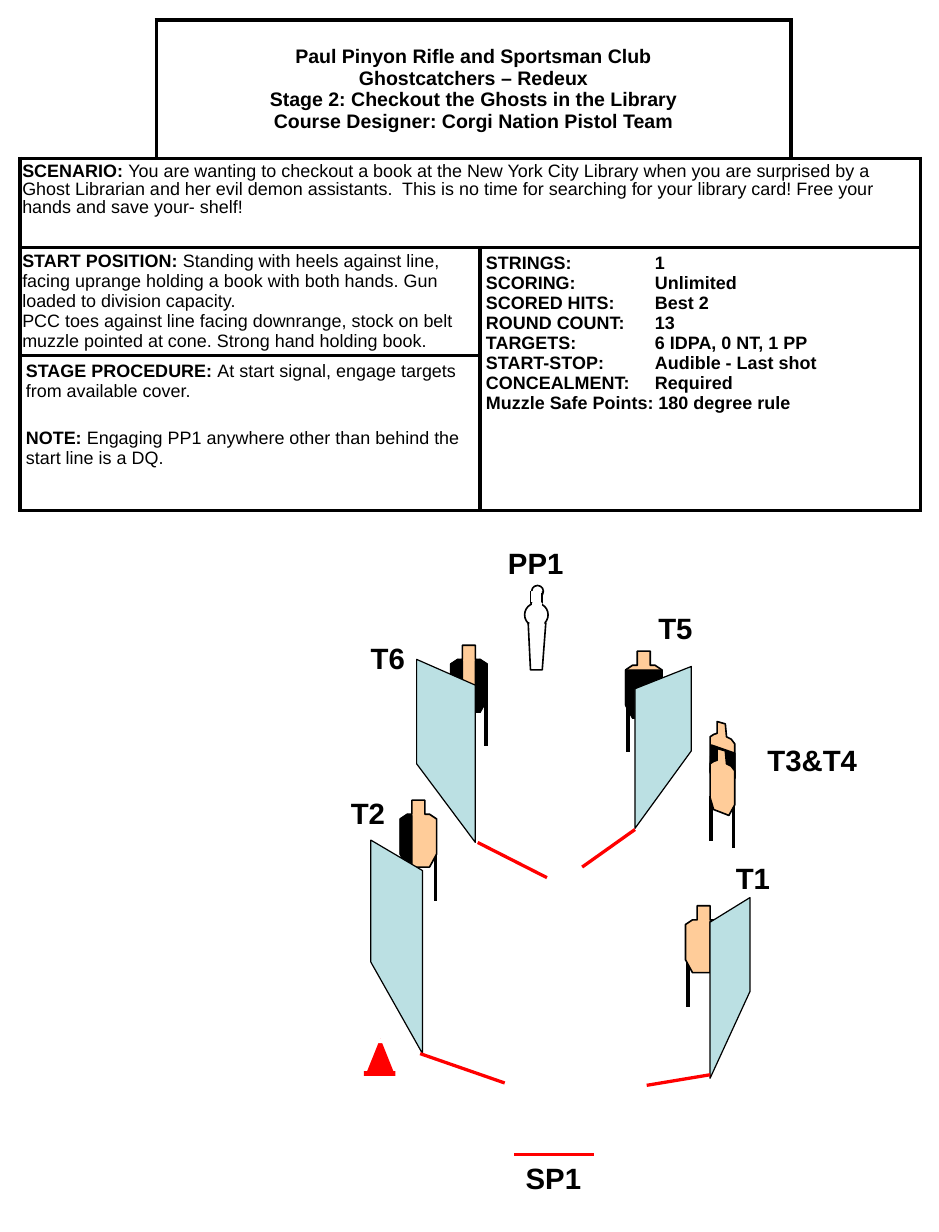
from lxml import etree
from pptx import Presentation
from pptx import util as u
from pptx.dml.color import RGBColor
from pptx.enum import shapes, text
from pptx.oxml import ns

COLORS = {"black": "000000", "white": "FFFFFF", "tan": "FFCC99",
          "wall": "BBE0E3", "red": "FF0000"}
BORDER_WIDTH = 2.25

TARGET = [(0.10, 0), (0.21, 0), (0.21, 0.12), (0.25, 0.12), (0.31, 0.16), (0.31, 0.46),
          (0.25, 0.57), (0.06, 0.57), (0, 0.46), (0, 0.16), (0.06, 0.12), (0.10, 0.12)]
RIGHT_HALF = [(0.21, 0.13), (0.21, 0.57), (0.25, 0.57), (0.31, 0.46), (0.31, 0.16), (0.25, 0.12)]
HARD_COVER = {
    "right": RIGHT_HALF,
    "left": [(0.31 - x, y) for x, y in RIGHT_HALF],
    "lower": [(0, 0.16), (0.31, 0.16), (0.31, 0.46), (0.25, 0.57), (0.06, 0.57), (0, 0.46)],
}
TURNED_TARGET = [(0.13, 0.02), (0.06, 0), (0.06, 0.10), (0.03, 0.11), (0, 0.13), (0, 0.42),
                 (0.03, 0.52), (0.16, 0.57), (0.21, 0.48), (0.21, 0.19), (0.18, 0.15), (0.14, 0.13)]
TURNED_COVER = [(0.21, 0.27), (0.21, 0.48), (0.16, 0.56), (0.03, 0.52), (0, 0.43), (0.01, 0.20)]

TARGETS = [(3.84, 5.50, ["right", "left"]), (5.33, 5.55, ["lower"]),
           (5.84, 7.72, ["right"]), (3.41, 6.82, ["left"])]
# outer edge, inner edge, then the four heights: outer top, outer bottom, inner top, inner bottom
WALLS = [(5.89, 5.41, 5.68, 6.40, 5.87, 7.06), (3.55, 4.05, 5.62, 6.51, 5.84, 7.18),
         (3.16, 3.60, 7.16, 8.20, 7.42, 8.98), (6.39, 6.05, 7.65, 8.45, 7.86, 9.19)]
FAULT_LINES = [(5.06, 9.84, 4.38, 9.84), (5.41, 7.07, 4.96, 7.39), (4.66, 7.48, 4.07, 7.18),
               (4.30, 9.23, 3.58, 8.98), (6.05, 9.16, 5.51, 9.25)]
LABELS = [("SP1", 4.38, 9.84, 0.68), ("PP1", 4.23, 4.60, 0.73), ("T5", 5.51, 5.15, 0.58),
          ("T1", 6.17, 7.28, 0.58), ("T3&T4", 6.44, 6.28, 1.02), ("T6", 3.06, 5.41, 0.58),
          ("T2", 2.89, 6.73, 0.58)]

TITLE = ["Paul Pinyon Rifle and Sportsman Club", "Ghostcatchers – Redeux",
         "Stage 2: Checkout the Ghosts in the Library",
         "Course Designer: Corgi Nation Pistol Team"]
SCENARIO = [("SCENARIO: ", "You are wanting to checkout a book at the New York City Library when "
             "you are surprised by a Ghost Librarian and her evil demon assistants.  This is no "
             "time for searching for your library card! Free your hands and save your- shelf!")]
START = [("START POSITION: ", "Standing with heels against line, facing uprange holding a book "
          "with both hands. Gun loaded to division capacity."),
         ("", "PCC toes against line facing downrange, stock on belt muzzle pointed at cone. "
          "Strong hand holding book.")]
PROCEDURE = [("STAGE PROCEDURE: ", "At start signal, engage targets from available cover."),
             ("NOTE: ", "Engaging PP1 anywhere other than behind the start line is a DQ.")]
FACTS = ["STRINGS:\t1", "SCORING:\tUnlimited", "SCORED HITS:\tBest 2", "ROUND COUNT:\t13",
         "TARGETS:\t6 IDPA, 0 NT, 1 PP", "START-STOP:\tAudible - Last shot",
         "CONCEALMENT:\tRequired", "Muzzle Safe Points: 180 degree rule"]


def rgb(name):
    return RGBColor.from_string(COLORS[name])


def write(frame, paras, size=11, align=text.PP_ALIGN.LEFT, gap=0, leading=None, tab=None):
    """Each item is a bold string or a (bold, plain) pair; gap is the points between paragraphs."""
    frame.word_wrap = True
    for index, item in enumerate(paras):
        para = frame.add_paragraph() if index else frame.paragraphs[0]
        if tab:
            stops = etree.SubElement(para._p.get_or_add_pPr(), ns.qn("a:tabLst"))
            etree.SubElement(stops, ns.qn("a:tab"), pos=str(u.Inches(tab)), algn="l")
        para.alignment = align
        para.space_before = u.Pt(gap if index else 0)
        if leading:
            para.line_spacing = leading
        bold, plain = (item, "") if isinstance(item, str) else item
        for words, is_bold in ((bold, True), (plain, False)):
            if words:
                span = para.add_run()
                span.text = words
                span.font.name, span.font.size, span.font.bold = "Arial", u.Pt(size), is_bold
                span.font.color.rgb = rgb("black")


def add_border(cell, sides):
    props = cell._tc.get_or_add_tcPr()
    for index, side in enumerate(side for side in "LRTB" if side in sides):
        line = etree.Element(ns.qn("a:ln" + side), w=str(u.Pt(BORDER_WIDTH)))
        fill = etree.SubElement(line, ns.qn("a:solidFill"))
        etree.SubElement(fill, ns.qn("a:srgbClr"), val=COLORS["black"])
        props.insert(index, line)


def fill_block(table, first, last, inset=(0.05, 0.05), sides="LRTB"):
    """Merge the cells from first to last, frame them and return the text frame."""
    origin = table.cell(*first)
    if first != last:
        origin.merge(table.cell(*last))
    for row in range(first[0], last[0] + 1):
        for col in range(first[1], last[1] + 1):
            cell = table.cell(row, col)
            cell.fill.solid()
            cell.fill.fore_color.rgb = rgb("white")
            edges = {"L": col == first[1], "R": col == last[1],
                     "T": row == first[0], "B": row == last[0]}
            add_border(cell, [s for s in sides if edges[s] or (row, col) == first])
    origin.margin_left = origin.margin_right = u.Inches(inset[0])
    origin.margin_top = origin.margin_bottom = u.Inches(inset[1])
    return origin.text_frame


def add_briefing(page):
    widths, heights = [1.16, 2.76, 2.65, 1.10], [1.18, 0.76, 0.92, 1.32]
    table = page.shapes.add_table(4, 4, u.Inches(0.17), u.Inches(0.17),
                                  u.Inches(sum(widths)), u.Inches(sum(heights))).table
    table.first_row = table.horz_banding = False
    for column, width in zip(table.columns, widths):
        column.width = u.Inches(width)
    for row, height in zip(table.rows, heights):
        row.height = u.Inches(height)
    fill_block(table, (0, 0), (0, 0), sides="RB")
    fill_block(table, (0, 3), (0, 3), sides="LB")
    write(fill_block(table, (0, 1), (0, 2)), TITLE, size=12, align=text.PP_ALIGN.CENTER)
    table.cell(0, 1).vertical_anchor = text.MSO_ANCHOR.MIDDLE
    write(fill_block(table, (1, 0), (1, 3), (0.02, 0.04)), SCENARIO, leading=0.9)
    write(fill_block(table, (2, 0), (2, 1), (0.02, 0.03)), START, gap=0.5)
    write(fill_block(table, (2, 2), (3, 3)), FACTS, tab=1.44)
    write(fill_block(table, (3, 0), (3, 1)), PROCEDURE, gap=16.5)


def paint(shape, fill, line=None, width=1):
    shape.shadow.inherit = False
    shape.fill.solid()
    shape.fill.fore_color.rgb = rgb(fill)
    if line:
        shape.line.color.rgb = rgb(line)
        shape.line.width = u.Pt(width)
    else:
        shape.line.fill.background()


def add_outline(parent, points, fill, left=0, top=0, width=1):
    spots = [(u.Inches(left + x), u.Inches(top + y)) for x, y in points]
    builder = parent.shapes.build_freeform(*spots[0])
    builder.add_line_segments(spots[1:], close=True)
    paint(builder.convert_to_shape(), fill, "black", width)


def add_preset(parent, kind, left, top, width, height, fill, line=None):
    box = [u.Inches(value) for value in (left, top, width, height)]
    paint(parent.shapes.add_shape(kind, *box), fill, line)


def add_line(parent, x1, y1, x2, y2, color, width):
    ends = [u.Inches(value) for value in (x1, y1, x2, y2)]
    line = parent.shapes.add_connector(shapes.MSO_CONNECTOR.STRAIGHT, *ends)
    line.line.color.rgb = rgb(color)
    line.line.width = u.Pt(width)
    etree.SubElement(line._element.spPr, ns.qn("a:effectLst"))


def add_target(page, left, top, covers):
    group = page.shapes.add_group_shape()
    for x in (left + 0.02, left + 0.30):
        add_line(group, x, top + 0.43, x, top + 0.86, "black", 2.25)
    add_outline(group, TARGET, "tan", left, top)
    for cover in covers:
        add_outline(group, HARD_COVER[cover], "black", left, top, width=0)


def add_turned_pair(page, left, top):
    group = page.shapes.add_group_shape()
    add_outline(group, TURNED_TARGET, "tan", left, top)
    add_outline(group, TURNED_COVER, "black", left, top)
    for x, y in ((left + 0.20, top + 0.69), (left + 0.01, top + 0.63)):
        add_line(group, x, y, x, y + 0.39, "black", 2.25)
    add_outline(group, TURNED_TARGET, "tan", left, top + 0.23)


def add_popper(page):
    group = page.shapes.add_group_shape()
    oval, rect = shapes.MSO_SHAPE.OVAL, shapes.MSO_SHAPE.RECTANGLE
    add_preset(group, oval, 4.53, 4.99, 0.10, 0.10, "white", "black")
    add_preset(group, oval, 4.47, 5.14, 0.20, 0.20, "white", "black")
    add_outline(group, [(4.50, 5.31), (4.65, 5.31), (4.62, 5.71), (4.52, 5.71)], "white")
    add_preset(group, rect, 4.52, 5.04, 0.10, 0.10, "white", "black")
    add_preset(group, rect, 4.51, 5.30, 0.13, 0.02, "white")
    add_preset(group, rect, 4.54, 5.14, 0.07, 0.02, "white", "white")
    add_preset(group, rect, 4.53, 5.04, 0.08, 0.01, "white", "white")


def add_cone(page):
    group = page.shapes.add_group_shape()
    add_preset(group, shapes.MSO_SHAPE.ISOSCELES_TRIANGLE, 3.12, 8.85, 0.24, 0.30, "red")
    add_preset(group, shapes.MSO_SHAPE.RECTANGLE, 3.18, 8.85, 0.12, 0.04, "white")
    add_preset(group, shapes.MSO_SHAPE.RECTANGLE, 3.10, 9.13, 0.27, 0.04, "red")


def add_label(page, words, left, top, width):
    box = page.shapes.add_textbox(u.Inches(left), u.Inches(top), u.Inches(width), u.Inches(0.4))
    write(box.text_frame, [words], size=18)


def main():
    deck = Presentation()
    deck.slide_width, deck.slide_height = u.Inches(8), u.Inches(10.5)
    page = deck.slides.add_slide(deck.slide_layouts[6])
    add_briefing(page)
    for target in TARGETS:
        add_target(page, *target)
    add_turned_pair(page, 6.05, 6.15)
    add_popper(page)
    for outer, inner, outer_top, outer_bottom, inner_top, inner_bottom in WALLS:
        add_outline(page, [(outer, outer_bottom), (inner, inner_bottom),
                           (inner, inner_top), (outer, outer_top)], "wall", width=0.75)
    add_cone(page)
    for line in FAULT_LINES:
        add_line(page, *line, "red", 2)
    for label in LABELS:
        add_label(page, *label)
    deck.save("out.pptx")


if __name__ == "__main__":
    main()
